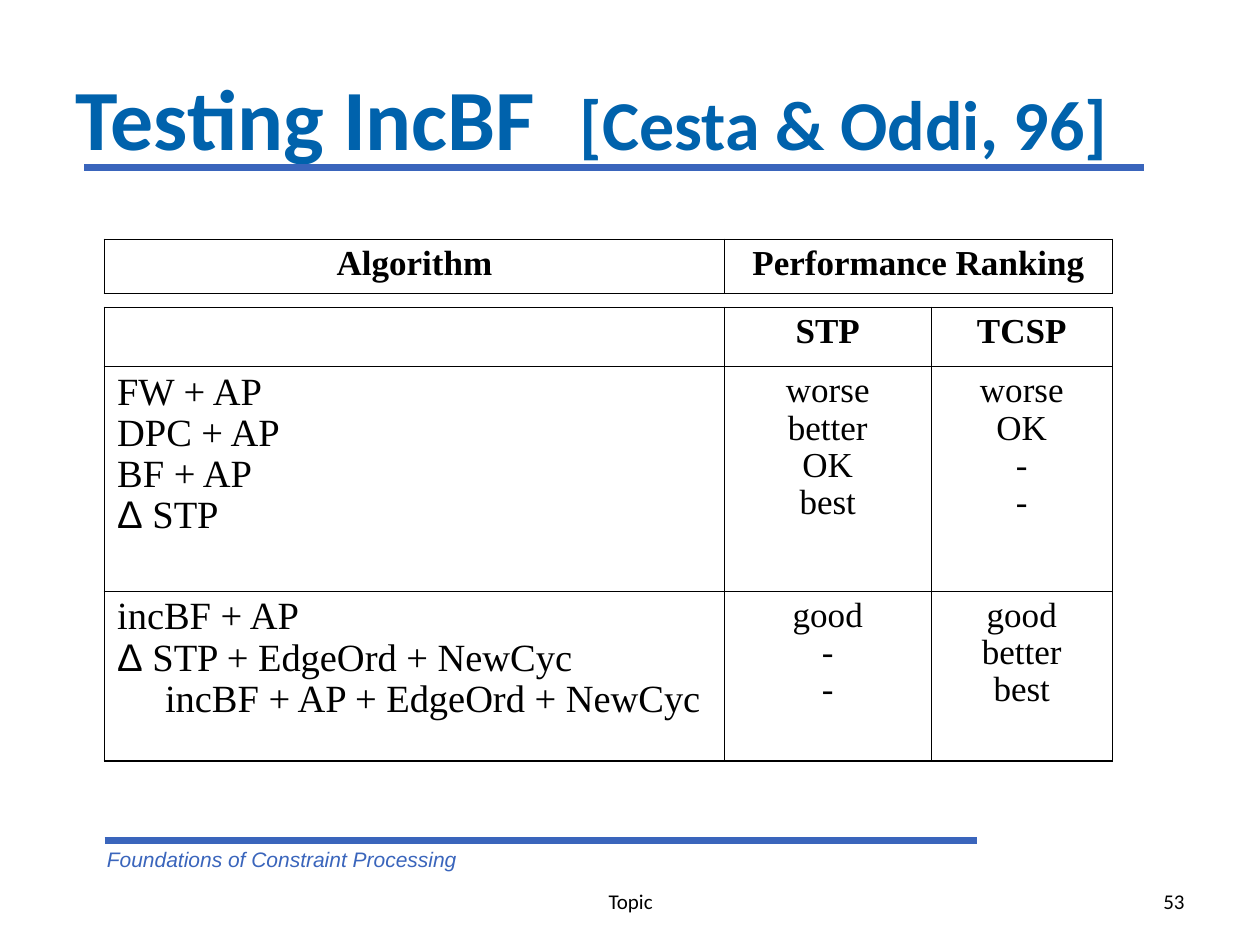
from lxml import etree
from pptx import Presentation
from pptx import util as u
from pptx.dml import color
from pptx.enum import shapes, text
from pptx.oxml import ns

INK, BLUE, NAVY = "000000", "3A65BC", "0062AC"
SERIF, SANS, HEAD = "Times New Roman", "Arial", "Calibri"
LEFT, MID, RIGHT = text.PP_ALIGN.LEFT, text.PP_ALIGN.CENTER, text.PP_ALIGN.RIGHT
THICK, THIN = 1.08, 0.45


def rgb(code):
    return color.RGBColor.from_string(code)


class Deck:
    """Holds the style and the current slide."""

    def __init__(self):
        self.prs = Presentation()
        self.prs.slide_width, self.prs.slide_height = u.Inches(10), u.Inches(7.5)
        self.slide = self.prs.slides.add_slide(self.prs.slide_layouts[5])

    def style(self, para, face, size, ink=INK, align=LEFT, bold=False, italic=False):
        para.alignment = align
        font = para.font
        font.name, font.size, font.bold, font.italic = face, u.Pt(size), bold, italic
        font.color.rgb = rgb(ink)

    def title(self, main, cite):
        shape = self.slide.shapes.title
        shape.left, shape.top = u.Inches(0.5), u.Inches(0.3)
        shape.width, shape.height = u.Inches(9), u.Inches(1.25)
        frame = shape.text_frame
        frame.auto_size = text.MSO_AUTO_SIZE.NONE
        frame.vertical_anchor = text.MSO_ANCHOR.MIDDLE
        para = frame.paragraphs[0]
        para.add_run().text = main
        run = para.add_run()
        run.text, run.font.size = cite, u.Pt(40)
        self.style(para, HEAD, 49, NAVY, bold=True)

    def rule(self, left, right, top):
        line = self.slide.shapes.add_connector(
            shapes.MSO_CONNECTOR.STRAIGHT,
            u.Inches(left), u.Inches(top), u.Inches(right), u.Inches(top))
        line.line.color.rgb, line.line.width = rgb(BLUE), u.Pt(4)
        etree.SubElement(line._element.spPr, ns.qn("a:effectLst"))

    def label(self, words, box, anchor, *look, **more):
        frame = self.slide.shapes.add_textbox(*map(u.Inches, box)).text_frame
        frame.word_wrap, frame.vertical_anchor = True, anchor
        para = frame.paragraphs[0]
        para.text = words
        self.style(para, *look, **more)

    def border(self, cell, sides):
        props = cell._tc.get_or_add_tcPr()
        for i, (side, width) in enumerate(sides):
            line = etree.Element(ns.qn("a:ln" + side), w=str(u.Pt(width)))
            fill = etree.SubElement(line, ns.qn("a:solidFill"))
            etree.SubElement(fill, ns.qn("a:srgbClr"), val=INK)
            props.insert(i, line)

    def fill(self, cell, lines, head, first):
        cell.fill.background()
        frame = cell.text_frame
        for i, line in enumerate(lines):
            para = frame.add_paragraph() if i else frame.paragraphs[0]
            words = line.lstrip("\t")
            if words != line:
                para._p.get_or_add_pPr().set("marL", str(u.Inches(0.38)))
            delta, mark, rest = words.rpartition("Δ")
            if mark:
                run = para.add_run()
                run.text, run.font.name = mark, SANS
            para.add_run().text = rest
            para.line_spacing = 0.96
            side = first and not head
            self.style(para, SERIF, 22 if side else 20,
                       align=LEFT if side else MID, bold=head)

    def table(self, top, cols, rows, data):
        grid = self.slide.shapes.add_table(
            len(rows), len(cols), u.Inches(0.83), u.Inches(top),
            u.Inches(sum(cols)), u.Inches(sum(rows))).table
        grid.first_row = grid.horz_banding = False
        for col, width in zip(grid.columns, cols):
            col.width = u.Inches(width)
        for r, (row, height) in enumerate(zip(grid.rows, rows)):
            row.height = u.Inches(height)
            for c, cell in enumerate(row.cells):
                self.fill(cell, data[r][c], r == 0, c == 0)
                outer = (c == 0, c == len(cols) - 1, r == 0, r == len(rows) - 1)
                self.border(cell, [(side, THICK if edge else THIN)
                                   for side, edge in zip("LRTB", outer)])


def main():
    deck = Deck()
    deck.rule(0.67, 9.08, 1.33)
    deck.label("Foundations of Constraint Processing", (0.75, 6.67, 5.25, 0.3),
               text.MSO_ANCHOR.TOP, SANS, 12, BLUE, italic=True)
    deck.rule(0.83, 7.75, 6.67)
    deck.title("Testing IncBF \t", "[Cesta & Oddi, 96]")
    middle = text.MSO_ANCHOR.MIDDLE
    deck.label("Topic", (3.42, 6.95, 3.17, 0.4), middle, HEAD, 12, align=MID)
    deck.label("53", (7.17, 6.95, 2.33, 0.4), middle, HEAD, 12, align=RIGHT)
    deck.table(1.9, (4.92, 3.08), (0.43,), [[["Algorithm"], ["Performance Ranking"]]])
    deck.table(2.44, (4.92, 1.64, 1.44), (0.47, 1.78, 1.35), [
        [[], ["STP"], ["TCSP"]],
        [["FW + AP", "DPC + AP", "BF + AP", "Δ STP"],
         ["worse", "better", "OK", "best"],
         ["worse", "OK", "-", "-"]],
        [["incBF + AP", "Δ STP + EdgeOrd + NewCyc", "\tincBF + AP + EdgeOrd + NewCyc"],
         ["good", "-", "-"],
         ["good", "better", "best"]],
    ])
    deck.prs.save("out.pptx")


if __name__ == "__main__":
    main()
